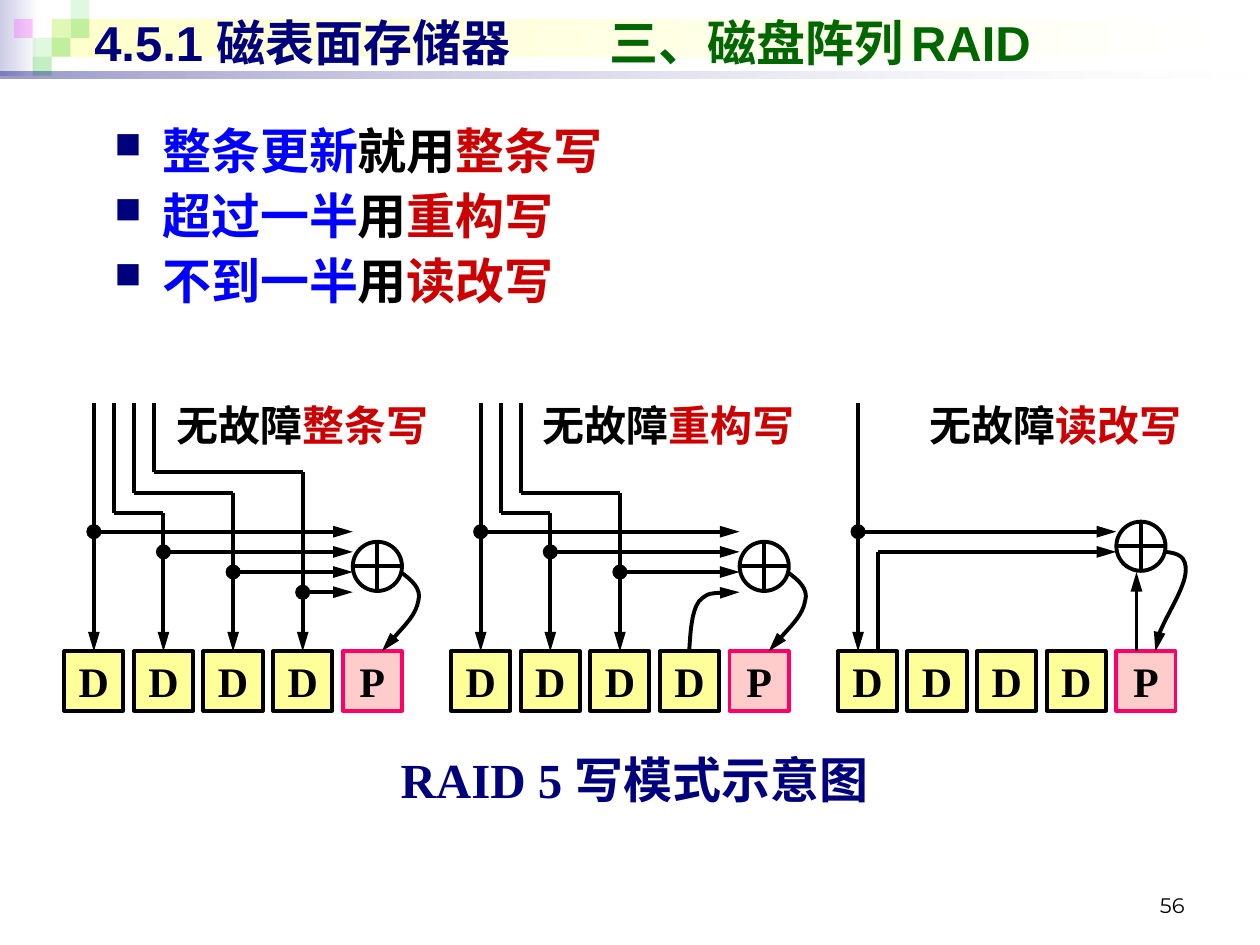
from dataclasses import dataclass
from typing import NamedTuple

from lxml.etree import SubElement
from pptx import Presentation
from pptx.dml.color import RGBColor
from pptx.enum.shapes import MSO_CONNECTOR, MSO_SHAPE
from pptx.enum.text import MSO_ANCHOR, PP_ALIGN
from pptx.oxml.ns import qn
from pptx.util import Inches, Pt


@dataclass(frozen=True)
class Theme:
    navy: str = "00007D"
    green: str = "006600"
    blue: str = "0000FF"
    red: str = "CC0000"
    black: str = "000000"
    white: str = "FFFFFF"
    yellow: str = "FFFF99"
    pink: str = "FFCCCC"
    rose: str = "FF0066"
    leaf: str = "33CC33"
    plum: str = "FF00FF"
    lilac: str = "CCCCE6"
    cream: str = "FFFFCC"
    serif: str = "Times New Roman"
    sans: str = "Arial"
    page: str = "Montserrat"
    big: float = 28
    mid: float = 24
    gap: float = 20
    small: float = 12
    stroke: float = 2.25


class Run(NamedTuple):
    text: str
    color: str
    size: float


class Tile(NamedTuple):
    left: float
    top: float
    color: str
    alpha: int


class Band(NamedTuple):
    box: tuple
    colors: tuple
    alphas: tuple = (100, 100)


class Panel(NamedTuple):
    left: float
    mode: str
    note: float
    drops: int
    lead: float
    gate: tuple
    curves: tuple


T = Theme()
SIDE, SPAN, HALF = 0.47, 2.21, 0.235
TOP, ROW, START = 5.17, 4.22, 3.2
STEP, RING, DOT = 0.16, 0.39, 0.12
BIT = 0.15

TILES = (
    Tile(0.41, 0.15, T.leaf, 15), Tile(0.56, 0, T.leaf, 15),
    Tile(0.56, 0.15, T.leaf, 30), Tile(0.26, 0.3, T.leaf, 15),
    Tile(0.11, 0.15, T.plum, 20), Tile(0.41, 0.3, T.leaf, 30),
    Tile(0.26, 0.45, T.leaf, 30),
)
BANDS = (
    Band((0, 0, 0.31, 0.6), (T.lilac, T.white)),
    Band((0.41, 0.15, 9.55, 0.3), (T.cream, T.white)),
)
RULE = Band((0, 0.57, 10, 0.05), (T.navy, T.white), (40, 10))

LOOP = ((2.67, 4.54), (2.75, 4.6), (2.84, 4.67), (2.81, 4.77),
        (2.79, 4.88), (2.65, 5.02), (2.52, 5.17))
RISE = ((1.89, 5.17), (1.9, 5.01), (1.91, 4.85), (1.97, 4.77),
        (2.04, 4.7), (2.16, 4.7), (2.29, 4.7))
HOOK = ((2.6, 4.38), (2.69, 4.39), (2.77, 4.41), (2.76, 4.54),
        (2.75, 4.67), (2.48, 5.09), (2.52, 5.17))
PANELS = (
    Panel(0.51, "整条写", 0.71, 4, HALF, (2.29, 4.3), (LOOP,)),
    Panel(3.58, "重构写", 0.55, 3, HALF, (2.29, 4.3), (LOOP, RISE)),
    Panel(6.65, "读改写", 0.55, 1, 0.16, (2.21, 4.14), (HOOK,)),
)
RULES = (("整条更新", "就用", "整条写"), ("超过一半", "用", "重构写"),
         ("不到一半", "用", "读改写"))


def rgb(color: str) -> RGBColor:
    return RGBColor.from_string(color)


def write(shape, lines, font=T.serif, align=PP_ALIGN.LEFT, anchor=MSO_ANCHOR.TOP,
          wrap=True, bullet=None, tab=None, before=0, leading=None) -> None:
    frame = shape.text_frame
    frame.word_wrap, frame.vertical_anchor = wrap, anchor
    for i, runs in enumerate(lines):
        para = frame.add_paragraph() if i else frame.paragraphs[0]
        props = para._p.get_or_add_pPr()
        if bullet:
            props.set("marL", str(Inches(0.38)))
            props.set("indent", str(-Inches(0.38)))
            SubElement(SubElement(props, qn("a:buClr")), qn("a:srgbClr"), val=T.navy)
            SubElement(props, qn("a:buSzPct"), val="75000")
            SubElement(props, qn("a:buChar"), char=bullet)
        if tab:
            stops = SubElement(props, qn("a:tabLst"))
            SubElement(stops, qn("a:tab"), pos=str(Inches(tab)), algn="l")
        para.alignment = align
        if i and before:
            para.space_before = Pt(before)
        if leading:
            para.line_spacing = leading
        for item in runs:
            run = para.add_run()
            run.text = item.text
            run.font.name, run.font.size = font, Pt(item.size)
            run.font.bold = font != T.page
            run.font.color.rgb = rgb(item.color)


def text(slide, box, lines, **style) -> None:
    write(slide.shapes.add_textbox(*map(Inches, box)), lines, **style)


def block(shapes, box, kind=MSO_SHAPE.RECTANGLE, fill=None, line=None):
    shape = shapes.add_shape(kind, *map(Inches, box))
    shape.shadow.inherit = False
    if fill:
        shape.fill.solid()
        shape.fill.fore_color.rgb = rgb(fill)
    else:
        shape.fill.background()
    if line:
        shape.line.color.rgb = rgb(line)
        shape.line.width = Pt(T.stroke)
    else:
        shape.line.fill.background()
    return shape


def fade(shape, alphas) -> None:
    for node, alpha in zip(shape._element.spPr.iter(qn("a:srgbClr")), alphas):
        if alpha < 100:
            SubElement(node, qn("a:alpha"), val=str(alpha * 1000))


def band(slide, item: Band) -> None:
    shape = block(slide.shapes, item.box)
    shape.fill.gradient()
    shape.fill.gradient_angle = 0
    for stop, color, place in zip(shape.fill.gradient_stops, item.colors, (0, 1)):
        stop.color.rgb, stop.position = rgb(color), place
    fade(shape, item.alphas)


def ink(shape, arrow: bool) -> None:
    shape.line.color.rgb = rgb(T.black)
    shape.line.width = Pt(T.stroke)
    if arrow:
        SubElement(shape.line._get_or_add_ln(), qn("a:tailEnd"),
                   type="triangle", w="med", len="lg")


def wire(shapes, start, end, arrow=False):
    link = shapes.add_connector(MSO_CONNECTOR.STRAIGHT, *map(Inches, start + end))
    ink(link, arrow)
    SubElement(link._element.spPr, qn("a:effectLst"))
    return link


def curve(slide, left: float, points) -> None:
    spots = [(Inches(left + x), Inches(y)) for x, y in points]
    pen = slide.shapes.build_freeform(*spots[0])
    pen.add_line_segments(spots[1:], close=False)
    shape = pen.convert_to_shape()
    shape.shadow.inherit = False
    shape.fill.background()
    ink(shape, True)
    legs = list(shape._element.iter(qn("a:lnTo")))
    route = legs[0].getparent()
    for i in range(0, len(legs), 3):
        bend = SubElement(route, qn("a:cubicBezTo"))
        for leg in legs[i:i + 3]:
            bend.append(leg[0])
            route.remove(leg)


def ring(slide, x: float, y: float) -> None:
    group = slide.shapes.add_group_shape().shapes
    block(group, (x, y, RING, RING), MSO_SHAPE.OVAL, line=T.black)
    mid = RING / 2
    wire(group, (x, y + mid), (x + RING, y + mid))
    wire(group, (x + mid, y), (x + mid, y + RING))


def draw(slide, panel: Panel) -> None:
    shapes, left = slide.shapes, panel.left
    cells = []
    for i, name in enumerate("DDDDP"):
        fill, line = (T.pink, T.rose) if name == "P" else (T.yellow, T.black)
        cell = block(shapes, (left + i * SPAN / 4, TOP, SIDE, SIDE), fill=fill, line=line)
        write(cell, [[Run(name, T.black, T.mid)]], align=PP_ALIGN.CENTER,
              anchor=MSO_ANCHOR.MIDDLE, wrap=False)
        cells.append(cell)
    gate = left + panel.gate[0]
    for i in range(panel.drops):
        x, y = left + panel.lead + i * SPAN / 4, ROW + i * STEP
        feed, knee = left + panel.lead + i * STEP, ROW + 0.01 - i * STEP
        drop = wire(shapes, (x, knee if i else START), (x, TOP), True)
        if panel.lead == HALF:
            drop.end_connect(cells[i], 0)
        if i:
            wire(shapes, (x, knee), (feed, knee))
            wire(shapes, (feed, knee), (feed, START))
        wire(shapes, (x, y), (gate, y), True)
        block(shapes, (x - DOT / 2, y - DOT / 2, DOT, DOT), MSO_SHAPE.OVAL, fill=T.black)
    ring(slide, gate, panel.gate[1])
    for points in panel.curves:
        curve(slide, left, points)
    text(slide, (left + panel.note, 3.12, 2.36, 0.5),
         [[Run("无故障", T.black, T.mid), Run(panel.mode, T.red, T.mid)]],
         align=PP_ALIGN.CENTER)


def main() -> None:
    deck = Presentation()
    deck.slide_width, deck.slide_height = Inches(10), Inches(7.5)
    slide = deck.slides.add_slide(deck.slide_layouts[6])
    for item in BANDS:
        band(slide, item)
    for tile in TILES:
        fade(block(slide.shapes, (tile.left, tile.top, BIT, BIT), fill=tile.color),
             (tile.alpha,))
    band(slide, RULE)
    text(slide, (7.17, 6.83, 2.33, 0.5), [[Run("56", T.black, T.small)]],
         font=T.page, align=PP_ALIGN.RIGHT, anchor=MSO_ANCHOR.BOTTOM)
    text(slide, (0.65, 0.05, 9, 0.55),
         [[Run("4.5.1 磁表面存储器\t", T.navy, T.big), Run("三、磁盘阵列", T.green, T.big),
           Run(" ", T.green, T.gap), Run("RAID", T.green, T.big)]],
         font=T.sans, tab=4.09)
    text(slide, (0.43, 5.95, 9.21, 0.55), [[Run("RAID 5 写模式示意图", T.navy, T.big)]],
         align=PP_ALIGN.CENTER, leading=0.9)
    for panel in PANELS:
        draw(slide, panel)
    last = PANELS[-1].left
    wire(slide.shapes, (last + 0.32, TOP), (last + 0.32, ROW + STEP))
    wire(slide.shapes, (last + 0.32, ROW + STEP), (last + SPAN, ROW + STEP), True)
    wire(slide.shapes, (last + 2.37, TOP), (last + 2.37, 4.54), True)
    inks = (T.blue, T.black, T.red)
    text(slide, (0.81, 0.91, 6.23, 1.73),
         [[Run(part, color, T.big) for part, color in zip(rule, inks)] for rule in RULES],
         bullet="■", before=3.5)
    deck.save("out.pptx")


if __name__ == "__main__":
    main()
